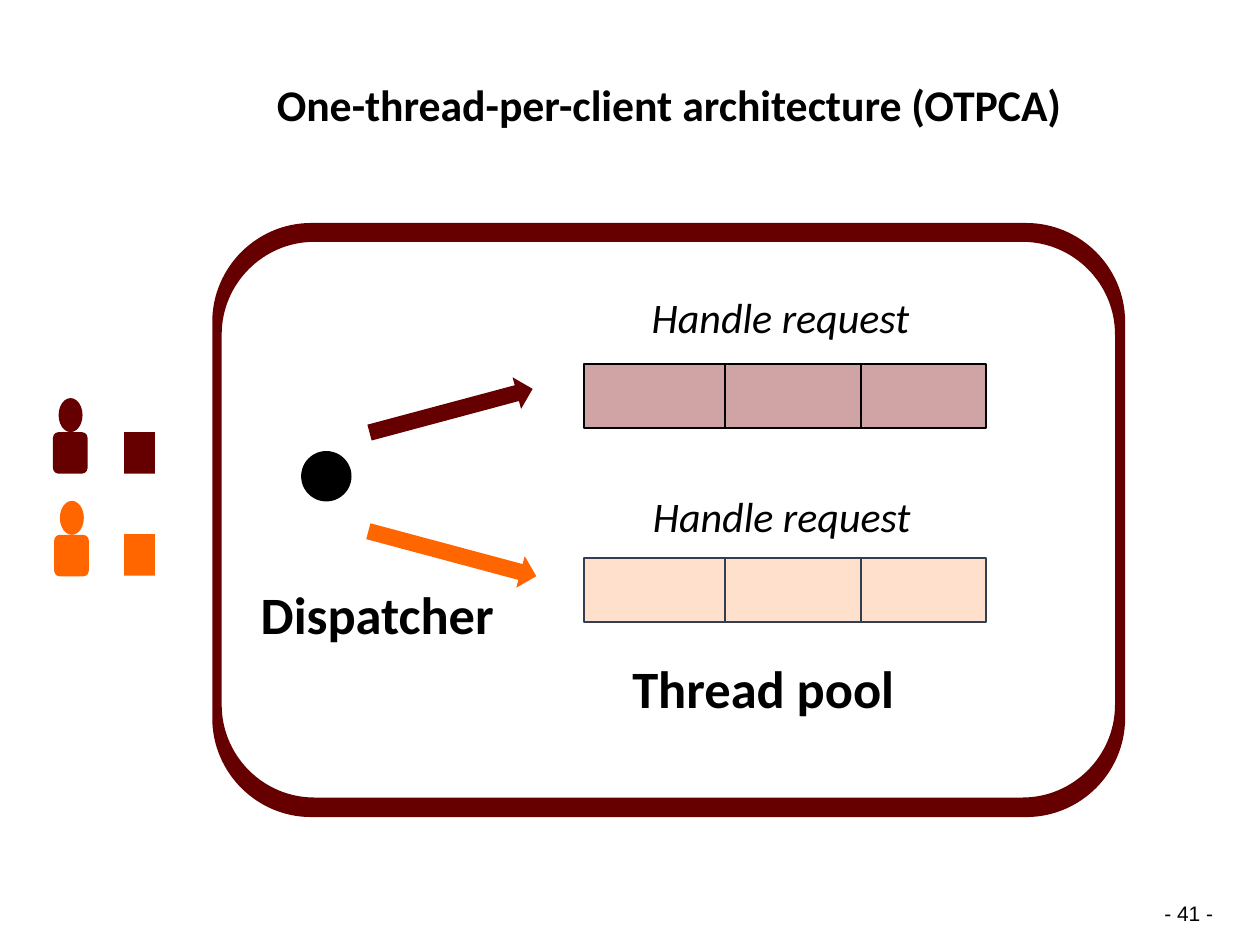
"""Build a slide on the one-thread-per-client architecture."""
from pptx import Presentation
from pptx.dml.color import RGBColor
from pptx.enum.shapes import MSO_SHAPE
from pptx.enum.text import MSO_ANCHOR, MSO_AUTO_SIZE, PP_ALIGN
from pptx.oxml.xmlchemy import OxmlElement
from pptx.util import Inches, Pt

OVAL, RECT = MSO_SHAPE.OVAL, MSO_SHAPE.RECTANGLE
ROUND, ARROW = MSO_SHAPE.ROUNDED_RECTANGLE, MSO_SHAPE.RIGHT_ARROW
LEFT, MID = PP_ALIGN.LEFT, PP_ALIGN.CENTER

COLS, ROWS, CELL = 100, 75, Inches(0.1)
THEME = {
    "ink": "000000", "red": "660000", "orange": "FF6600",
    "rose": "D0A4A4", "peach": "FFE0CC", "slate": "333F50",
    "title": {"name": "Calibri", "size": Pt(25), "bold": True, "italic": False},
    "label": {"name": "Calibri", "size": Pt(30), "bold": True},
    "note": {"name": "Calibri", "size": Pt(24), "italic": True},
    "page": {"name": "Arial", "size": Pt(12)},
}
TITLE = ("One-thread-per-client architecture (OTPCA)", (14.6, 6.15, 77, 4.7))
LABELS = [
    ("Dispatcher", "label", MID, (12.9, 46.65, 34.1, 5)),
    ("Thread pool", "label", LEFT, (49.2, 52.55, 29, 5)),
    ("Handle request", "note", MID, (44.9, 23.4, 34.1, 4.2)),
    ("Handle request", "note", MID, (45, 39.2, 34.1, 4.2)),
]
PAGE = ("- 41 -", "page", LEFT, (91.9, 71.25, 5.2, 2.4))
FRAME = [((16.85, 17.7, 89.3, 64.85), 7.85), ((17.6, 19.2, 88.5, 63.3), 7.35)]
BEND = 0.55
HUB = (23.9, 35.8, 4, 4)
CLIENTS = [("red", 4.2, 31.6), ("orange", 4.3, 39.75)]
PARTS = [(OVAL, 0.45, 0, 1.9, 2.7), (ROUND, 0, 2.7, 2.75, 3.3)]
JOBS = [("red", (9.85, 34.3, 2.45, 3.3)), ("orange", (9.85, 42.4, 2.45, 3.3))]
ARROWS = [("red", 345, (29.1, 31.3, 13.4, 2.6)),
          ("orange", 15, (29, 42.65, 13.8, 2.6))]
POOL = [("rose", "ink", 28.9), ("peach", "slate", 44.3)]
EDGES, DEPTH = (46.35, 57.53, 68.32, 78.25), 5.1


def grid(*units):
    return [round(unit * CELL) for unit in units]


def tint(name):
    return RGBColor.from_string(THEME[name])


def paint(shape, fill, line=None):
    shape.shadow.inherit = False
    shape.fill.solid()
    shape.fill.fore_color.rgb = tint(fill)
    if line:
        shape.line.color.rgb = tint(line)
        shape.line.width = Pt(1.25)
    else:
        shape.line.fill.background()


def draw(slide, kind, box, fill, line=None, turn=0):
    shape = slide.shapes.add_shape(kind, *grid(*box))
    shape.rotation = turn
    paint(shape, fill, line)


def write(frame, text, style, form):
    para = frame.paragraphs[0]
    run = para.add_run()
    run.text = text
    for key, val in THEME[style].items():
        setattr(run.font, key, val)
    run.font.color.rgb = tint("ink")
    for key, val in form.items():
        setattr(para, key, val)


def label(slide, text, style, align, box):
    frame = slide.shapes.add_textbox(*grid(*box)).text_frame
    form = {"alignment": align}
    if style == "page":
        look = {"word_wrap": False, "margin_left": Inches(0.05),
                "margin_right": Inches(0.05), "margin_top": Inches(0.02),
                "margin_bottom": Inches(0.02)}
    else:
        look = {"word_wrap": True, "auto_size": MSO_AUTO_SIZE.SHAPE_TO_FIT_TEXT}
        size = THEME[style]["size"]
        form.update(line_spacing=0.8, space_before=Pt(size.pt * 0.2))
    for key, val in look.items():
        setattr(frame, key, val)
    write(frame, text, style, form)


def ring(box, bend):
    left, top, right, foot = box
    ends = [(right, foot - bend), (right - bend, foot),
            (left + bend, foot), (left, foot - bend),
            (left, top + bend), (left + bend, top),
            (right - bend, top), (right, top + bend)]
    return [grid(*end) for end in ends]


def curve(shape):
    """Turn each corner line of the rings into a curve."""
    nodes = shape.element.xpath(".//a:moveTo | .//a:lnTo")
    spots = [(int(node[0].get("x")), int(node[0].get("y"))) for node in nodes]
    for turn in range(len(nodes) // 2):
        start, end = spots[2 * turn:2 * turn + 2]
        peak = (end[0], start[1]) if turn % 2 else (start[0], end[1])
        pulls = [[round(a + BEND * (b - a)) for a, b in zip(spot, peak)]
                 for spot in (start, end)]
        arc = OxmlElement("a:cubicBezTo")
        for x, y in pulls + [end]:
            point = OxmlElement("a:pt")
            point.set("x", str(x))
            point.set("y", str(y))
            arc.append(point)
        node = nodes[2 * turn + 1]
        node.getparent().replace(node, arc)


def border(slide):
    outer, inner = (ring(*part) for part in FRAME)
    inner.reverse()
    pen = slide.shapes.build_freeform(*outer[0], scale=1.0)
    pen.add_line_segments(outer[1:], close=True)
    pen.move_to(*inner[0])
    pen.add_line_segments(inner[1:], close=True)
    shape = pen.convert_to_shape()
    curve(shape)
    paint(shape, "red")


def head(slide):
    text, box = TITLE
    title = slide.shapes.title
    title.left, title.top, title.width, title.height = grid(*box)
    frame = title.text_frame
    frame.auto_size = MSO_AUTO_SIZE.NONE
    frame.vertical_anchor = MSO_ANCHOR.MIDDLE
    write(frame, text, "title", {"alignment": MID, "line_spacing": 0.9})


def main():
    deck = Presentation()
    deck.slide_width, deck.slide_height = COLS * CELL, ROWS * CELL
    slide = deck.slides.add_slide(deck.slide_layouts[5])
    head(slide)
    border(slide)
    draw(slide, OVAL, HUB, "ink")
    for fill, turn, box in ARROWS:
        draw(slide, ARROW, box, fill, turn=turn)
    for fill, left, top in CLIENTS:
        for kind, x, y, wide, high in PARTS:
            draw(slide, kind, (left + x, top + y, wide, high), fill)
    for fill, box in JOBS:
        draw(slide, RECT, box, fill)
    for fill, line, top in POOL:
        for left, right in zip(EDGES, EDGES[1:]):
            draw(slide, RECT, (left, top, right - left, DEPTH), fill, line)
    for item in LABELS + [PAGE]:
        label(slide, *item)
    deck.save("out.pptx")


if __name__ == "__main__":
    main()
